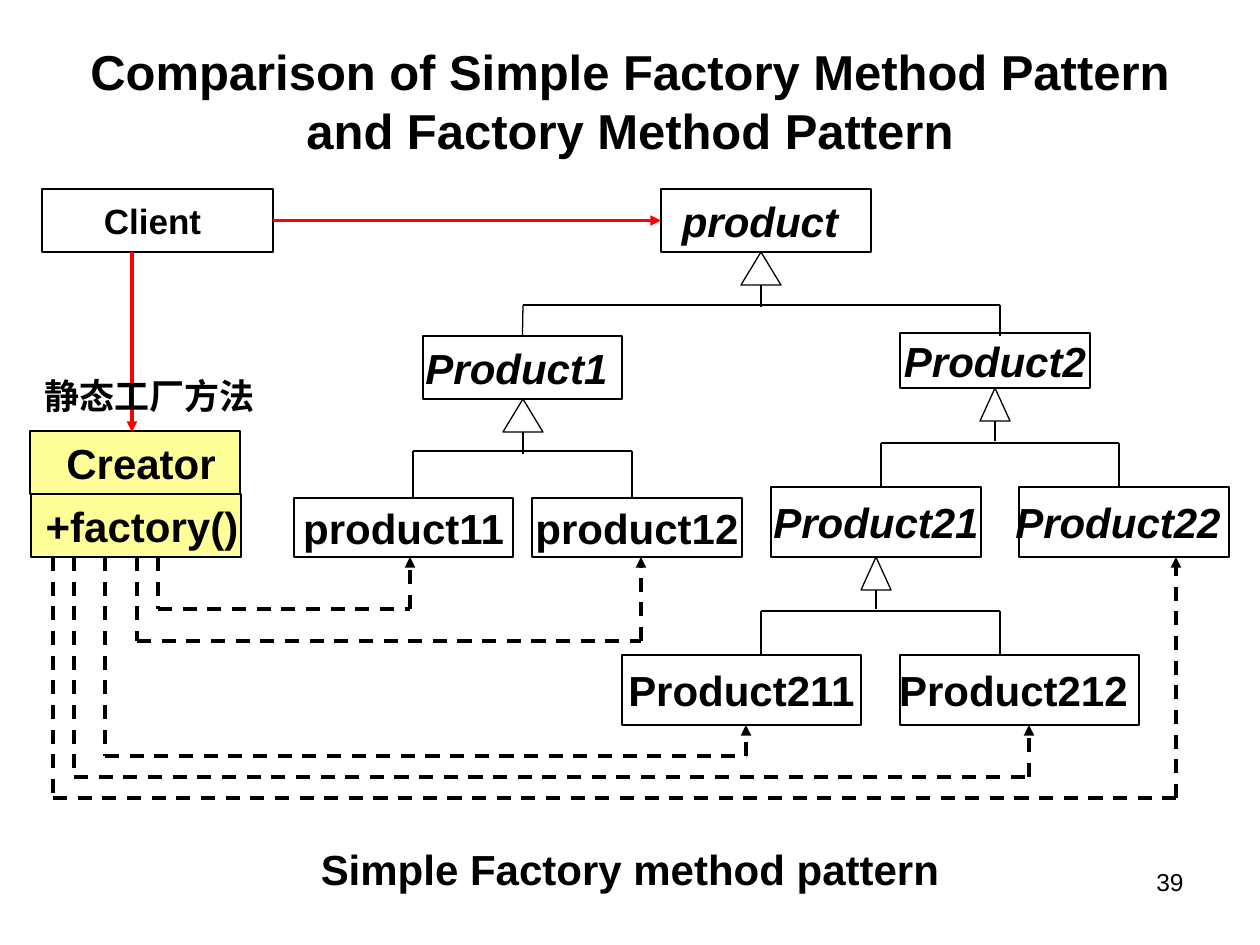
"""Build a class diagram slide comparing the simple factory and factory method patterns."""
from lxml.etree import SubElement
from pptx import Presentation
from pptx.dml.color import RGBColor
from pptx.enum.dml import MSO_LINE
from pptx.enum.shapes import MSO_CONNECTOR, MSO_SHAPE
from pptx.enum.text import MSO_ANCHOR, PP_ALIGN
from pptx.oxml.ns import qn
from pptx.util import Pt

PX = 914400 / 126
COLORS = {"ink": "000000", "paper": "FFFFFF", "creator": "FFFF99", "call": "FF0000"}


def write(shape, text, size, align=PP_ALIGN.CENTER, anchor=MSO_ANCHOR.MIDDLE, italic=False, bold=True):
    frame = shape.text_frame
    frame.text = text
    frame.vertical_anchor = anchor
    paragraph = frame.paragraphs[0]
    paragraph.alignment = align
    font = paragraph.runs[0].font
    font.name = "Arial"
    font.size = Pt(size)
    font.bold = bold
    font.italic = italic
    font.color.rgb = RGBColor.from_string(COLORS["ink"])
    return paragraph


def connect(x1, y1, x2, y2, color="ink", width=0.75, dashed=False, arrow=False):
    ends = [round(value * PX) for value in (x1, y1, x2, y2)]
    link = slide.shapes.add_connector(MSO_CONNECTOR.STRAIGHT, *ends)
    link.line.color.rgb = RGBColor.from_string(COLORS[color])
    link.line.width = Pt(width)
    if dashed:
        link.line.dash_style = MSO_LINE.DASH
    if arrow:
        SubElement(link.line._get_or_add_ln(), qn("a:tailEnd"), type="triangle")
    SubElement(link._element.spPr, qn("a:effectLst"))
    return link


deck = Presentation()
deck.slide_width = round(1260 * PX)
deck.slide_height = round(945 * PX)
slide = deck.slides.add_slide(deck.slide_layouts[6])

classes = [
    ("Client", 42, 189, 231, 63, "paper", 20, False, -5),
    ("product", 661, 189, 210, 63, "paper", 24, True, -6),
    ("Product1", 423, 336, 199, 63, "paper", 24, True, -6),
    ("Product2", 900, 333, 190, 55, "paper", 24, True, 0),
    ("product11", 294, 498, 219, 59, "paper", 24, False, 0),
    ("product12", 532, 498, 210, 59, "paper", 24, False, 0),
    ("Product21", 771, 487, 210, 70, "paper", 24, True, 0),
    ("Product22", 1019, 487, 210, 70, "paper", 24, True, -6),
    ("Product211", 622, 655, 239, 70, "paper", 24, False, 0),
    ("Product212", 900, 655, 239, 70, "paper", 24, False, -6),
    ("+factory()", 31, 494, 210, 63, "creator", 24, False, 6),
    ("Creator", 30, 431, 210, 63, "creator", 24, False, 6),
]
boxes = {}
for name, left, top, width, height, fill, size, abstract, nudge in classes:
    area = [round(value * PX) for value in (left, top, width, height)]
    box = slide.shapes.add_shape(MSO_SHAPE.RECTANGLE, *area)
    box.shadow.inherit = False
    box.fill.solid()
    box.fill.fore_color.rgb = RGBColor.from_string(COLORS[fill])
    box.line.color.rgb = RGBColor.from_string(COLORS["ink"])
    box.line.width = Pt(0.75)
    write(box, name, size, italic=abstract)
    frame = box.text_frame
    frame.word_wrap = False
    frame.margin_top = frame.margin_bottom = 0
    frame.margin_left = round(max(2 * nudge, 0) * PX)
    frame.margin_right = round(max(-2 * nudge, 0) * PX)
    boxes[name] = box

inheritance = [
    (761, 252, 40, 307, 523, 1000, 305, 336),
    (523, 399, 40, 454, 413, 632, 451, 498),
    (995, 388, 30, 441, 881, 1119, 443, 487),
    (876, 557, 30, 609, 761, 1000, 611, 655),
]
for apex, top, width, stem_end, first, last, bar, child_top in inheritance:
    area = [round(value * PX) for value in (apex - width / 2, top, width, 33)]
    triangle = slide.shapes.add_shape(MSO_SHAPE.ISOSCELES_TRIANGLE, *area)
    triangle.shadow.inherit = False
    triangle.fill.solid()
    triangle.fill.fore_color.rgb = RGBColor.from_string(COLORS["paper"])
    triangle.line.color.rgb = RGBColor.from_string(COLORS["ink"])
    triangle.line.width = Pt(0.75)
    connect(apex, top + 33, apex, stem_end)
    connect(first, bar, last, bar)
    for child in (first, last):
        drop = connect(child, bar, child, child_top)
        if child == 523:
            drop.end_connect(boxes["Product1"], 0)

creation = [
    (158, 410, 609, 557),
    (137, 641, 641, 557),
    (105, 746, 756, 725),
    (74, 1029, 777, 725),
    (53, 1176, 798, 557),
]
for source, target, depth, target_bottom in creation:
    connect(source, depth, target, depth, width=2, dashed=True)
    connect(source, 557, source, depth, width=2, dashed=True)
    connect(target, depth, target, target_bottom, width=2, dashed=True, arrow=True)

connect(132, 252, 132, 432, "call", 2, arrow=True)
use = connect(273, 220, 661, 220, "call", 2, arrow=True)
use.begin_connect(boxes["Client"], 3)
use.end_connect(boxes["product"], 1)

captions = [
    ("Comparison of Simple Factory Method Pattern and Factory Method Pattern",
     63, 21, 1134, 158, 28, PP_ALIGN.CENTER, MSO_ANCHOR.MIDDLE),
    ("静态工厂方法", 32, 368, 252, 55, 20, PP_ALIGN.LEFT, MSO_ANCHOR.TOP),
    ("Simple Factory method pattern", 63, 851, 1134, 53, 24, PP_ALIGN.CENTER, MSO_ANCHOR.TOP),
    ("39", 903, 861, 293, 65, 14, PP_ALIGN.RIGHT, MSO_ANCHOR.TOP),
]
for text, left, top, width, height, size, align, anchor in captions:
    area = [round(value * PX) for value in (left, top, width, height)]
    caption = slide.shapes.add_textbox(*area)
    caption.text_frame.word_wrap = True
    line = write(caption, text, size, align, anchor, bold=text != "39")
    if text.startswith("Simple"):
        line.line_spacing = 0.7
    if text.startswith("静态"):
        font = line.runs[0].font
        font.name = "Noto Sans CJK SC"
        SubElement(font._element, qn("a:ea"), typeface=font.name)

deck.save("out.pptx")
